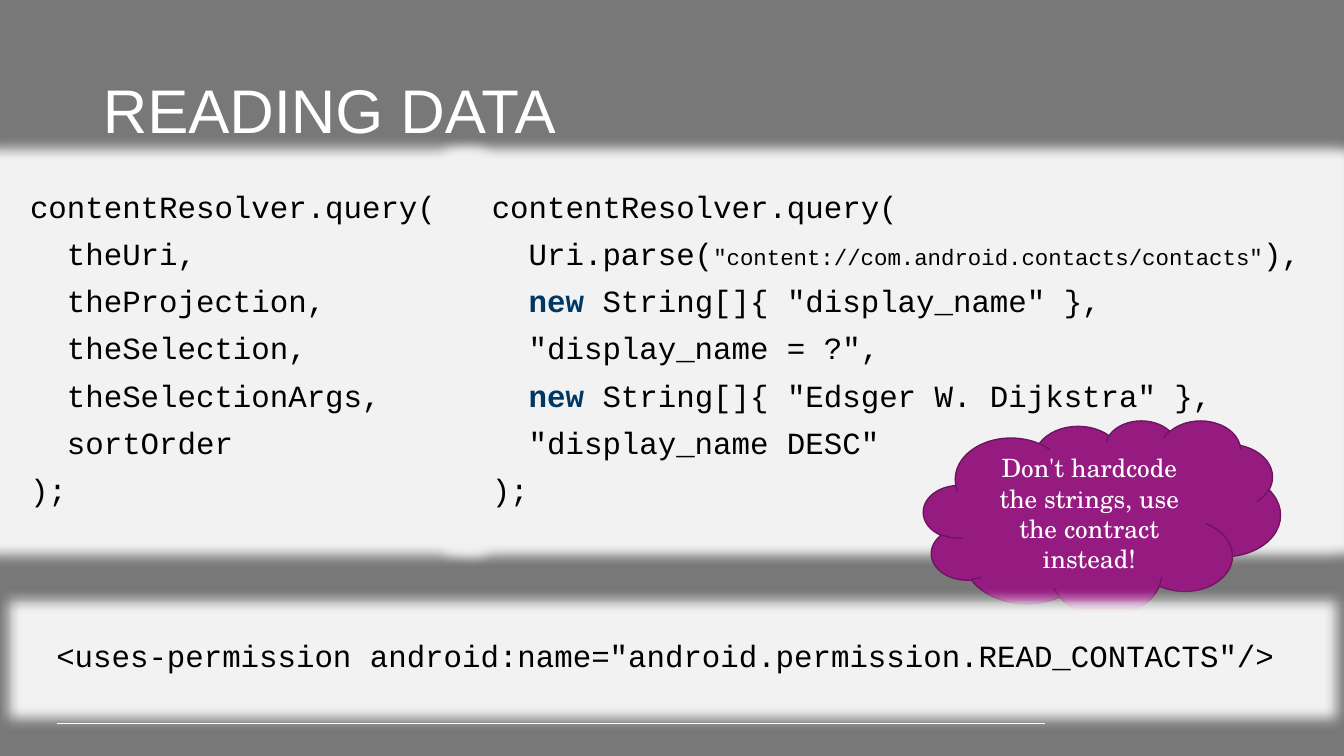
from dataclasses import dataclass

from lxml import etree
from pptx import Presentation
from pptx import util as u
from pptx.dml.color import RGBColor
from pptx.enum import shapes, text
from pptx.oxml.ns import qn


@dataclass(frozen=True)
class Theme:
    ground: str = "787878"
    panel: str = "F2F2F2"
    ink: str = "000000"
    key: str = "003865"
    light: str = "FFFFFF"
    cloud: str = "961B81"
    edge: str = "6F145F"
    head: str = "Arial"
    mono: str = "Courier New"
    serif: str = "TeX Gyre Schola"
    title: int = 44
    code: int = 22
    small: int = 16
    note: int = 18


T = Theme()
KEY = {"color": T.key, "bold": True}
SMALL = {"size": T.small}

PARAMS = ["theUri", "theProjection", "theSelection", "theSelectionArgs"]
PATTERN = (["contentResolver.query("]
           + [f"  {name}," for name in PARAMS]
           + ["  sortOrder", ");"])
EXAMPLE = [
    "contentResolver.query(",
    [("  Uri.parse(", {}),
     ('"content://com.android.contacts/contacts"', SMALL),
     ("),", {})],
    [("  ", {}), ("new", KEY), (' String[]{ "display_name" },', {})],
    '  "display_name = ?",',
    [("  ", {}), ("new", KEY), (' String[]{ "Edsger W. Dijkstra" },', {})],
    '  "display_name DESC"',
    ");",
]
PERMIT = ['<uses-permission android:name="android.permission.READ_CONTACTS"/>']


def style(font, name, size, color, bold=False):
    values = {"name": name, "size": u.Pt(size), "bold": bold}
    for key, value in values.items():
        setattr(font, key, value)
    font.color.rgb = RGBColor.from_string(color)


def paint(shape, fill, line=None):
    shape.shadow.inherit = False
    shape.fill.solid()
    shape.fill.fore_color.rgb = RGBColor.from_string(fill)
    if line:
        shape.line.color.rgb = RGBColor.from_string(line)
        shape.line.width = u.Pt(1)
    else:
        shape.line.fill.background()


def glow(shape, color, radius):
    effects = shape._element.spPr.find(qn("a:effectLst"))
    halo = etree.SubElement(effects, qn("a:glow"), rad=str(u.Pt(radius)))
    etree.SubElement(halo, qn("a:srgbClr"), val=color)


def add_box(slide, kind, box):
    return slide.shapes.add_shape(kind, *map(u.Inches, box))


def add_title(slide, words):
    title = slide.shapes.title
    box = map(u.Inches, (0.92, 0.4, 11.5, 1.45))
    for side, value in zip(("left", "top", "width", "height"), box):
        setattr(title, side, value)
    frame = title.text_frame
    frame.text = words
    frame.vertical_anchor = text.MSO_ANCHOR.MIDDLE
    para = frame.paragraphs[0]
    para.alignment = text.PP_ALIGN.LEFT
    para.line_spacing = 0.9
    style(para.runs[0].font, T.head, T.title, T.light)


def add_code(slide, box, lines):
    """Add a glowing panel; a line is a string or a list of (text, format)."""
    panel = add_box(slide, shapes.MSO_SHAPE.RECTANGLE, box)
    paint(panel, T.panel)
    glow(panel, T.panel, 18)
    frame = panel.text_frame
    frame.word_wrap = True
    frame.vertical_anchor = text.MSO_ANCHOR.TOP
    for i, line in enumerate(lines):
        para = frame.add_paragraph() if i else frame.paragraphs[0]
        para.alignment = text.PP_ALIGN.LEFT
        para.line_spacing = 0.9
        para.space_before = u.Pt(10 if i else 0)
        runs = [(line, {})] if isinstance(line, str) else line
        for words, extra in runs:
            run = para.add_run()
            run.text = words
            base = {"name": T.mono, "size": T.code, "color": T.ink}
            style(run.font, **{**base, **extra})


def add_cloud(slide, box, words):
    cloud = add_box(slide, shapes.MSO_SHAPE.CLOUD, box)
    paint(cloud, T.cloud, T.edge)
    frame = cloud.text_frame
    frame.word_wrap = True
    frame.text = words
    frame.vertical_anchor = text.MSO_ANCHOR.MIDDLE
    para = frame.paragraphs[0]
    para.alignment = text.PP_ALIGN.CENTER
    style(para.runs[0].font, T.serif, T.note, T.light)


def add_rule(slide, left, right, y):
    ends = map(u.Inches, (left, y, right, y))
    rule = slide.shapes.add_connector(shapes.MSO_CONNECTOR.STRAIGHT, *ends)
    rule.line.color.rgb = RGBColor.from_string(T.light)
    rule.line.width = u.Pt(0.75)
    etree.SubElement(rule._element.spPr, qn("a:effectLst"))


def main():
    deck = Presentation()
    deck.slide_width, deck.slide_height = u.Inches(13.33), u.Inches(7.5)
    slide = deck.slides.add_slide(deck.slide_layouts[5])
    slide.background.fill.solid()
    slide.background.fill.fore_color.rgb = RGBColor.from_string(T.ground)

    add_rule(slide, 0.57, 10.36, 7.18)
    add_title(slide, "READING DATA")
    add_code(slide, (0.2, 1.85, 4.27, 3.28), PATTERN)
    add_code(slide, (4.78, 1.85, 8.26, 3.28), EXAMPLE)
    add_cloud(slide, (9.16, 4.17, 3.54, 1.93),
              "Don't hardcode the strings, use the contract instead!")
    add_code(slide, (0.46, 6.31, 12.41, 0.43), PERMIT)
    deck.save("out.pptx")


if __name__ == "__main__":
    main()
